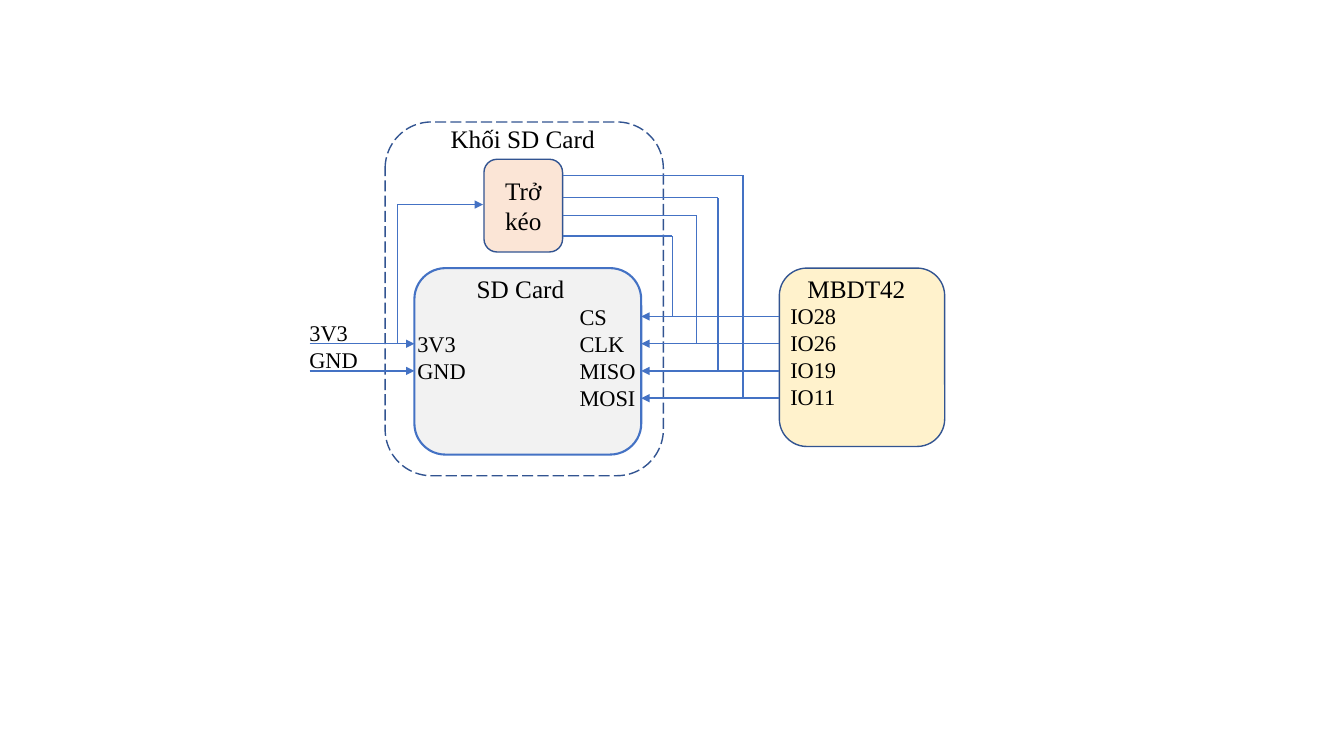
from pptx import Presentation
from pptx.dml.color import RGBColor
from pptx.enum import dml, shapes, text
from pptx.oxml import ns
from pptx.util import Inches, Pt
from lxml import etree

FONT = "Times New Roman"
BLUE, NAVY, BLACK = "4472C4", "325491", "000000"
ROW_TOP, ROW_STEP = 3.14, 0.27
ARROW_ROWS = [ROW_TOP + ROW_STEP * row for row in range(4)]

presentation = Presentation()
presentation.slide_width = Inches(13.33)
presentation.slide_height = Inches(7.5)
slide = presentation.slides.add_slide(presentation.slide_layouts[6])


def add_label(left, top, width, height, size, lines):
    frame = slide.shapes.add_textbox(
        Inches(left), Inches(top), Inches(width), Inches(height)).text_frame
    frame.word_wrap = True
    frame.text = "\n".join(lines)
    for paragraph in frame.paragraphs:
        paragraph.font.name = FONT
        paragraph.font.size = Pt(size)
        paragraph.font.color.rgb = RGBColor.from_string(BLACK)


def add_wire(x1, y1, x2, y2, arrow=False):
    wire = slide.shapes.add_connector(
        shapes.MSO_CONNECTOR.STRAIGHT, Inches(x1), Inches(y1), Inches(x2), Inches(y2))
    wire.line.color.rgb = RGBColor.from_string(BLUE)
    wire.line.width = Pt(1)
    properties = wire._element.spPr
    if arrow:
        outline = properties.find(ns.qn("a:ln"))
        etree.SubElement(outline, ns.qn("a:tailEnd"), type="triangle")
    etree.SubElement(properties, ns.qn("a:effectLst"))
    return wire


boxes = {}
for name, left, top, width, height, fill, line, weight in [
    ("block", 3.82, 1.21, 2.76, 3.51, None, NAVY, 1),
    ("card", 4.11, 2.66, 2.25, 1.85, "F2F2F2", BLUE, 1.5),
    ("resistor", 4.8, 1.58, 0.78, 0.92, "FBE5D6", NAVY, 1),
    ("controller", 7.73, 2.66, 1.64, 1.77, "FFF2CC", NAVY, 1),
]:
    shape = slide.shapes.add_shape(
        shapes.MSO_SHAPE.ROUNDED_RECTANGLE,
        Inches(left), Inches(top), Inches(width), Inches(height))
    shape.shadow.inherit = False
    if fill:
        shape.fill.solid()
        shape.fill.fore_color.rgb = RGBColor.from_string(fill)
    else:
        shape.fill.background()
    shape.line.color.rgb = RGBColor.from_string(line)
    shape.line.width = Pt(weight)
    boxes[name] = shape

boxes["block"].line.dash_style = dml.MSO_LINE.LONG_DASH

frame = boxes["resistor"].text_frame
frame.text = "Trở kéo"
frame.word_wrap = True
frame.vertical_anchor = text.MSO_ANCHOR.MIDDLE
paragraph = frame.paragraphs[0]
paragraph.alignment = text.PP_ALIGN.CENTER
paragraph.font.name = FONT
paragraph.font.size = Pt(18)
paragraph.font.color.rgb = RGBColor.from_string(BLACK)

for y in ARROW_ROWS[1:3]:
    add_wire(3.07, y, 4.11, y, arrow=True)
for y in ARROW_ROWS:
    add_wire(7.73, y, 6.36, y, arrow=True)

pull_up_corners = [(6.67, 2.34), (6.91, 2.14), (7.12, 1.96), (7.37, 1.74)]
for (x, y), arrow_y in zip(pull_up_corners, ARROW_ROWS):
    add_wire(5.58, y, x, y)
    add_wire(x, arrow_y, x, y)

supply_wire = add_wire(5.05, 3.14, 3.68, 2.29, arrow=True)
supply_properties = supply_wire._element.spPr
supply_properties.find(ns.qn("a:prstGeom")).set("prst", "bentConnector2")
supply_properties.find(ns.qn("a:xfrm")).set("rot", "5400000")

add_label(4.37, 1.17, 1.83, 0.4, 18, ["Khối SD Card"])
add_label(4.63, 2.66, 1.36, 0.4, 18, ["SD Card"])
add_label(7.91, 2.66, 1.36, 0.4, 18, ["MBDT42"])
add_label(5.65, 2.96, 0.78, 1.18, 16, ["CS", "CLK", "MISO", "MOSI"])
add_label(7.74, 2.95, 0.7, 1.18, 16, ["IO28", "IO26", "IO19", "IO11"])
for left, top in [(2.97, 3.12), (4.04, 3.23)]:
    add_label(left, top, 0.78, 0.64, 16, ["3V3", "GND"])

presentation.save("out.pptx")
